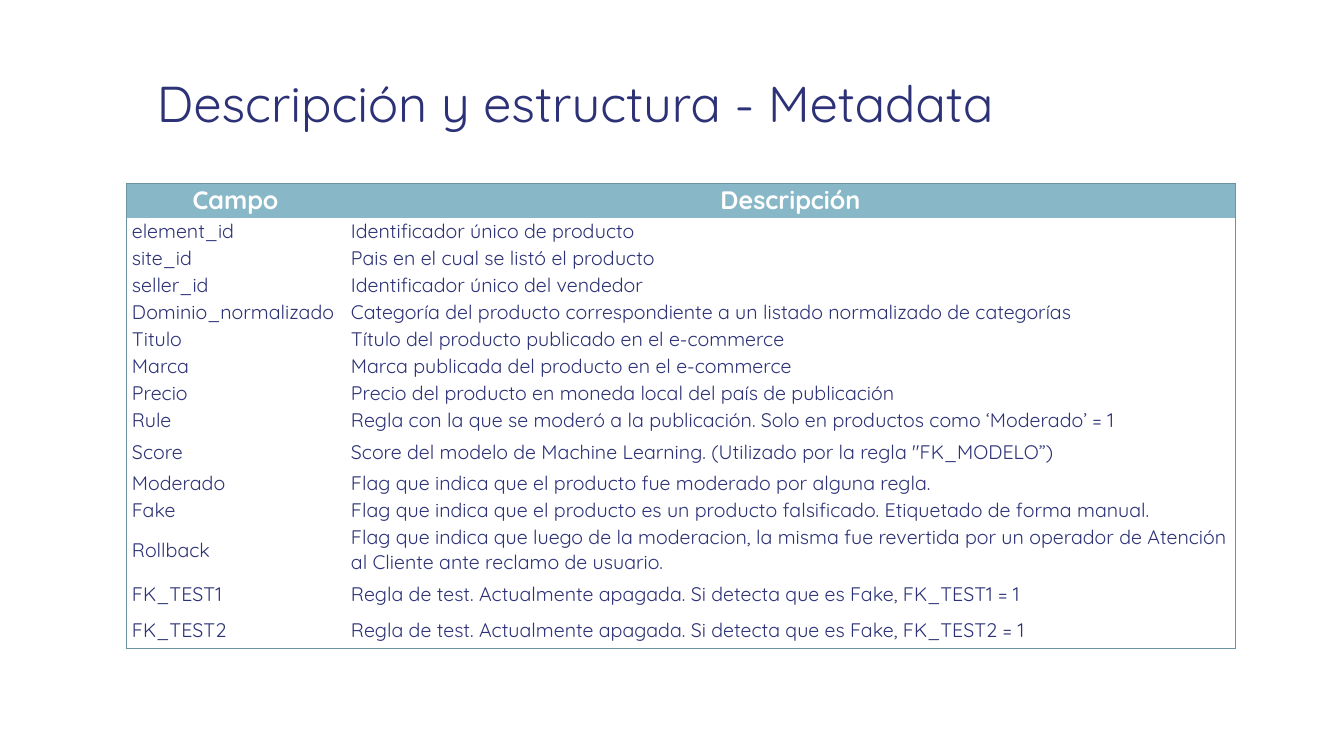
from lxml.etree import SubElement
from pptx import Presentation
from pptx.dml.color import RGBColor
from pptx.enum.text import MSO_ANCHOR as ANCHOR, PP_ALIGN as ALIGN
from pptx.oxml.ns import qn
from pptx.util import Pt

PX = 914400 / 100.8
FONT = "Quicksand"
COLORS = {"navy": "2D3277", "header": "88B8C8", "border": "6C94A0", "white": "FFFFFF"}


def px(n):
    return round(n * PX)


def write(p, text, size, color, bold=False):
    r = p.add_run()
    r.text = text
    for name, value in {"name": FONT, "size": Pt(size), "bold": bold}.items():
        setattr(r.font, name, value)
    r.font.color.rgb = RGBColor.from_string(COLORS[color])


prs = Presentation()
prs.slide_width, prs.slide_height = px(1344), px(756)
s = prs.slides.add_slide(prs.slide_layouts[6])

# Title
title = s.shapes.add_textbox(px(147), px(67), px(947), px(80))
title.text_frame.word_wrap = True
write(title.text_frame.paragraphs[0], "Descripción y estructura - Metadata", 36, "navy")

# Fields: name, description, row height
ROW, TALL, DOUBLE = 27, 37, 52
rows = [
    ("Campo", "Descripción", 35),
    ("element_id", "Identificador único de producto", ROW),
    ("site_id", "Pais en el cual se listó el producto", ROW),
    ("seller_id", "Identificador único del vendedor", ROW),
    ("Dominio_normalizado", "Categoría del producto correspondiente a un listado normalizado de categorías", ROW),
    ("Titulo", "Título del producto publicado en el e-commerce", ROW),
    ("Marca", "Marca publicada del producto en el e-commerce", ROW),
    ("Precio", "Precio del producto en moneda local del país de publicación", ROW),
    ("Rule", "Regla con la que se moderó a la publicación. Solo en productos como ‘Moderado’ = 1", ROW),
    ("Score", "Score del modelo de Machine Learning. (Utilizado por la regla \"FK_MODELO”)", 36),
    ("Moderado", "Flag que indica que el producto fue moderado por alguna regla.", ROW),
    ("Fake", "Flag que indica que el producto es un producto falsificado. Etiquetado de forma manual.", ROW),
    ("Rollback", "Flag que indica que luego de la moderacion, la misma fue revertida por un operador "
     "de Atención al Cliente ante reclamo de usuario.", DOUBLE),
    ("FK_TEST1", "Regla de test. Actualmente apagada. Si detecta que es Fake, FK_TEST1 = 1", 36),
    ("FK_TEST2", "Regla de test. Actualmente apagada. Si detecta que es Fake, FK_TEST2 = 1", TALL),
]
widths = [219, 891]
cell_format = {
    "vertical_anchor": ANCHOR.MIDDLE,
    "margin_left": px(6), "margin_right": px(6),
    "margin_top": px(1), "margin_bottom": px(1),
}

# Table
frame = s.shapes.add_table(len(rows), len(widths), px(126), px(183),
                           px(sum(widths)), px(sum(row[2] for row in rows)))
table = frame.table
table.horz_banding = False
for column, width in zip(table.columns, widths):
    column.width = px(width)

for i, (field, description, height) in enumerate(rows):
    table.rows[i].height = px(height)
    header = i == 0
    for j, text in enumerate((field, description)):
        cell = table.cell(i, j)
        for name, value in cell_format.items():
            setattr(cell, name, value)
        p = cell.text_frame.paragraphs[0]
        p.alignment = ALIGN.CENTER if header else ALIGN.LEFT
        write(p, text, 18 if header else 14, "white" if header else "navy", header)

        # Only the outer edges carry a line
        tcPr = cell._tc.get_or_add_tcPr()
        edges = {"lnL": j == 0, "lnR": j == len(widths) - 1,
                 "lnT": header, "lnB": i == len(rows) - 1}
        for edge, outer in edges.items():
            ln = SubElement(tcPr, qn(f"a:{edge}"), w=str(Pt(0.75)))
            if outer:
                fill = SubElement(ln, qn("a:solidFill"))
                SubElement(fill, qn("a:srgbClr"), val=COLORS["border"])
            else:
                SubElement(ln, qn("a:noFill"))

        # Header band on a plain body
        cell.fill.solid()
        cell.fill.fore_color.rgb = RGBColor.from_string(COLORS["header" if header else "white"])

prs.save("out.pptx")
